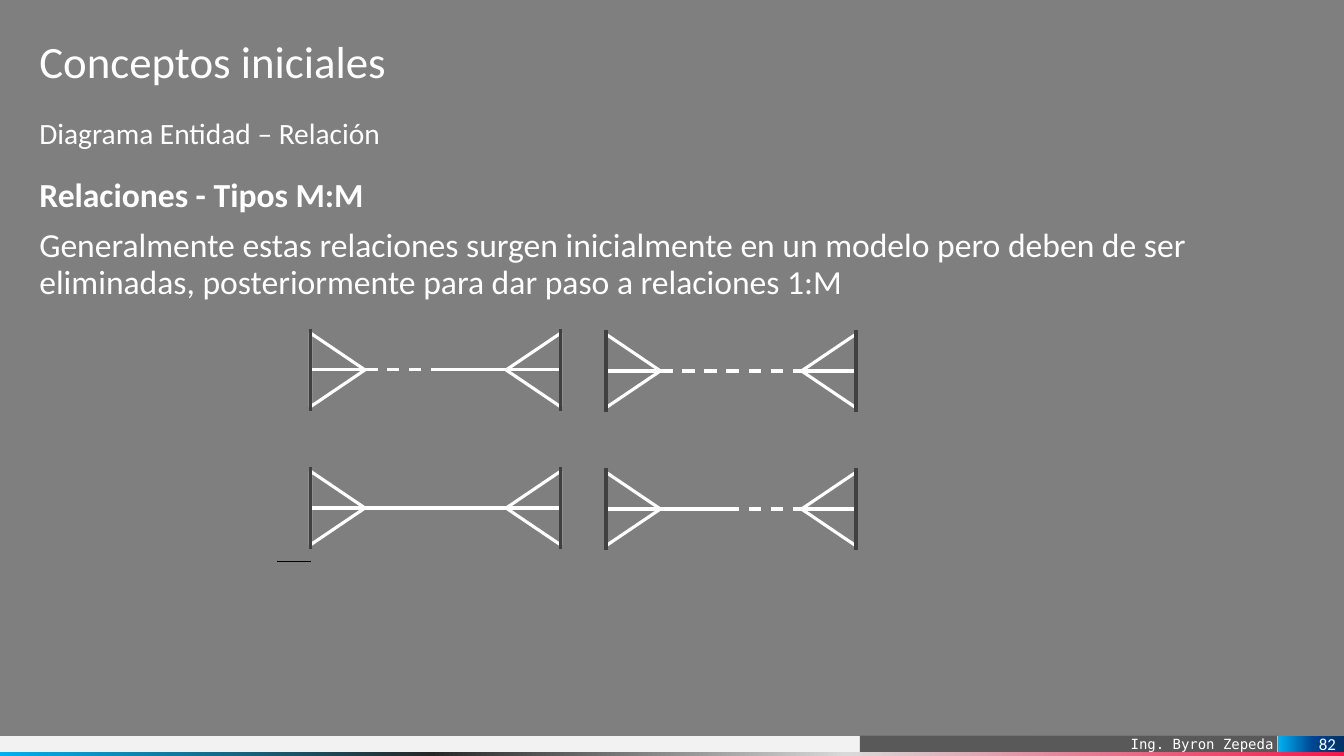
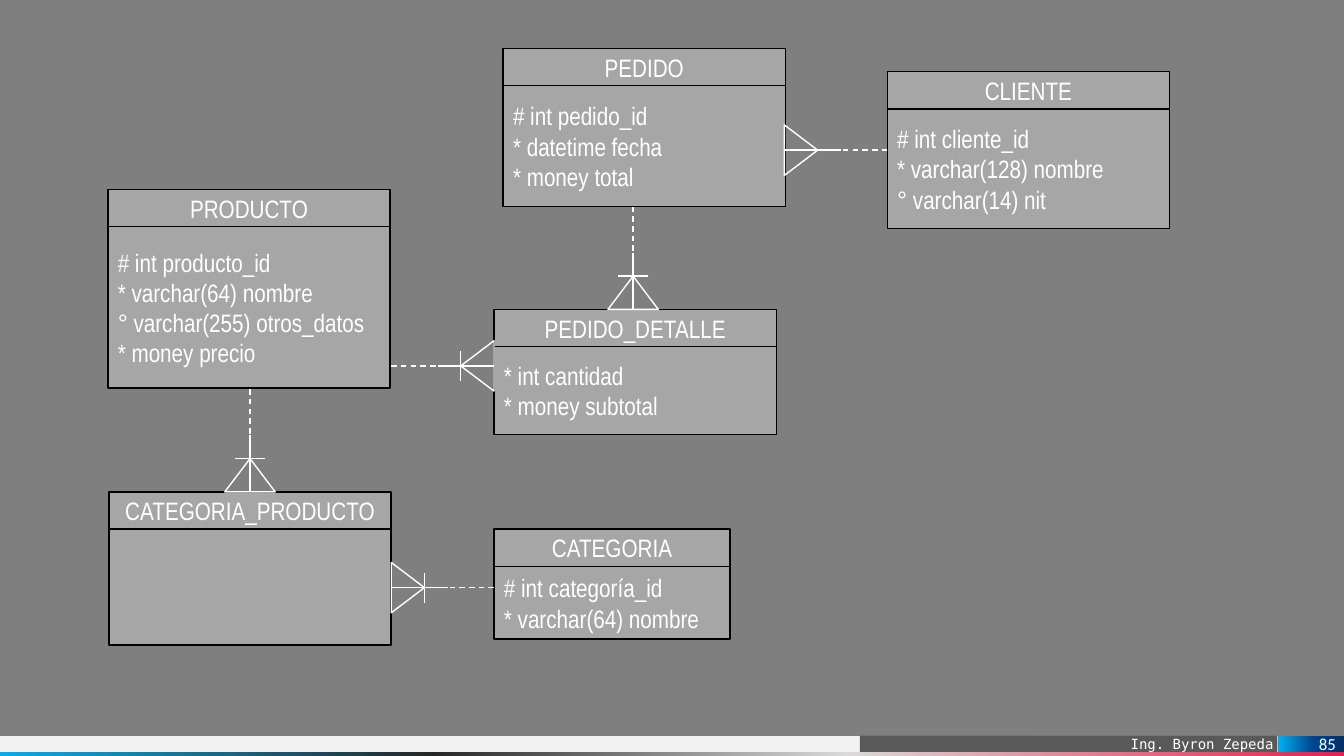
from lxml import etree
from pptx import Presentation
from pptx.dml.color import RGBColor
from pptx.enum.dml import MSO_LINE
from pptx.enum.shapes import MSO_CONNECTOR, MSO_SHAPE
from pptx.enum.text import MSO_ANCHOR, PP_ALIGN
from pptx.oxml.ns import qn
from pptx.util import Inches, Pt

RECT, TRIANGLE = MSO_SHAPE.RECTANGLE, MSO_SHAPE.ISOSCELES_TRIANGLE
STRAIGHT, DASH = MSO_CONNECTOR.STRAIGHT, MSO_LINE.DASH
TOP, MIDDLE, BOTTOM = MSO_ANCHOR.TOP, MSO_ANCHOR.MIDDLE, MSO_ANCHOR.BOTTOM
LEFT, CENTER, RIGHT = PP_ALIGN.LEFT, PP_ALIGN.CENTER, PP_ALIGN.RIGHT

COLORS = {
    "white": "FFFFFF", "black": "000000", "light_band": "F2F2F2",
    "author_band": "595959", "entity": "A6A6A6", "edge": "404040",
}
STRIPE_STOPS = [(0, "F2194A"), (37, "D9D9D9"), (68, "262626"), (100, "00B0F0")]
NUMBER_STOPS = [(0, "003065"), (47, "004490"), (100, "00B0F0")]
BODY_FONT, FOOTER_FONT, ENTITY_FONT = "Calibri", "DejaVu Sans Mono", "Arial Narrow"
SLIDE_W, SLIDE_H, FOOTER_Y, FOOTER_H = 13.33, 7.5, 7.3, 0.16
MARGIN = 0.39
HEADER_H = 0.37

UP, TO_RIGHT, TO_LEFT = (0, -1), (1, 0), (-1, 0)
ROTATION = {UP: 0, TO_RIGHT: 90, TO_LEFT: 270}


def rgb(name):
    return RGBColor.from_string(COLORS[name])


def add_box(slide, box, fill=None, outline=None, width=1, kind=RECT):
    shape = slide.shapes.add_shape(kind, *map(Inches, box))
    shape.shadow.inherit = False
    if fill:
        shape.fill.solid()
        shape.fill.fore_color.rgb = rgb(fill)
    else:
        shape.fill.background()
    if outline:
        shape.line.color.rgb = rgb(outline)
        shape.line.width = Pt(width)
    else:
        shape.line.fill.background()
    return shape


def add_line(slide, start, end, color="white", width=1.0, dashed=False):
    line = slide.shapes.add_connector(STRAIGHT, *map(Inches, (*start, *end)))
    line.line.color.rgb = rgb(color)
    line.line.width = Pt(width)
    if dashed:
        line.line.dash_style = DASH
    etree.SubElement(line._element.spPr, qn("a:effectLst"))


def set_gradient(shape, stops):
    """Fill with (percent, hex) stops that run from right to left."""
    shape.fill.gradient()
    shape.fill.gradient_angle = 180
    stop_list = shape._element.spPr.find(".//" + qn("a:gsLst"))
    for old_stop in list(stop_list):
        stop_list.remove(old_stop)
    for percent, color in stops:
        stop = etree.SubElement(stop_list, qn("a:gs"), pos=str(percent * 1000))
        etree.SubElement(stop, qn("a:srgbClr"), val=color)


def write(shape, lines, font, size, align=LEFT, anchor=TOP,
          insets=(0, 0, 0, 0), spacing=None, before=None, bold_first=False):
    frame = shape.text_frame
    frame.word_wrap = True
    frame.vertical_anchor = anchor
    (frame.margin_left, frame.margin_top,
     frame.margin_right, frame.margin_bottom) = map(Inches, insets)
    for index, line in enumerate(lines):
        paragraph = frame.add_paragraph() if index else frame.paragraphs[0]
        paragraph.text = line
        paragraph.alignment = align
        if spacing:
            paragraph.line_spacing = spacing
        if before:
            paragraph.space_before = Pt(before)
        paragraph.font.name = font
        paragraph.font.size = Pt(size)
        paragraph.font.bold = bold_first and index == 0
        paragraph.font.color.rgb = rgb("white")


def add_base_slide(prs, number):
    """Add a blank slide with the grey veil, the footer and its number."""
    slide = prs.slides.add_slide(prs.slide_layouts[6])
    add_box(slide, (0, FOOTER_Y, 10.28, FOOTER_H), "light_band")
    author = add_box(slide, (8.53, FOOTER_Y, 4.14, FOOTER_H), "author_band")
    write(author, ["Ing. Byron Zepeda"], FOOTER_FONT, 10, RIGHT, BOTTOM,
          (0.1, 0, 0.04, 0))
    stripe = add_box(slide, (0, 7.46, SLIDE_W, 0.04))
    set_gradient(stripe, STRIPE_STOPS)
    veil = add_box(slide, (0, 0, SLIDE_W, FOOTER_Y), "black")
    veil_color = veil._element.spPr.find(".//" + qn("a:srgbClr"))
    etree.SubElement(veil_color, qn("a:alpha"), val="50000")
    page = add_box(slide, (12.68, FOOTER_Y, 0.65, FOOTER_H))
    set_gradient(page, NUMBER_STOPS)
    write(page, [str(number)], BODY_FONT, 12, RIGHT, MIDDLE, (0, 0, 0.08, 0))
    return slide


def add_text(slide, box, lines, size, **style):
    text_box = slide.shapes.add_textbox(*map(Inches, box))
    write(text_box, lines, BODY_FONT, size, spacing=0.9, **style)


def add_crow_foot(slide, anchor, direction, spread, depth, width):
    """Draw a triangle with its base at anchor and its tip along direction."""
    center_x, center_y = (a + d * depth / 2 for a, d in zip(anchor, direction))
    foot = add_box(slide, (center_x - spread / 2, center_y - depth / 2,
                           spread, depth),
                   outline="white", width=width, kind=TRIANGLE)
    foot.rotation = ROTATION[direction]


def add_many_to_many(slide, x, y, left_dashed, right_dashed):
    """Draw an M:M relation from its left end, centred on height y."""
    length, depth, half, reach, width = 2.48, 0.54, 0.74, 0.41, 2.25
    ends = [(x, TO_RIGHT, left_dashed), (x + length, TO_LEFT, right_dashed)]
    for end_x, direction, dashed in ends:
        tip = end_x + direction[0] * depth
        inner = tip + direction[0] * half
        add_line(slide, (min(tip, inner), y), (max(tip, inner), y),
                 width=width, dashed=dashed)
        add_crow_foot(slide, (end_x, y), direction, 0.73, depth, width)
        add_line(slide, (end_x, y), (tip, y), width=width)
        add_line(slide, (end_x, y - reach), (end_x, y + reach), "edge", width)


def add_entity(slide, box, name, fields):
    """Draw a table of the data model: a name above its fields."""
    x, y, width, height = box
    parts = [
        ((x, y, width, HEADER_H), [name], CENTER),
        ((x, y + HEADER_H, width, height - HEADER_H), fields, LEFT),
    ]
    for part_box, lines, align in parts:
        part = add_box(slide, part_box, "entity", "black")
        write(part, lines, ENTITY_FONT, 18, align, MIDDLE,
              (0.1, 0.05, 0.1, 0.05))


def add_one_to_many(slide, anchor, direction, barred):
    """Draw a relation outwards from the "many" end at anchor."""
    depth, solid, full, reach = 0.33, 0.56, 1.02, 0.15

    def along(distance, aside=0):
        return (anchor[0] + direction[0] * distance + direction[1] * aside,
                anchor[1] + direction[1] * distance + direction[0] * aside)

    add_crow_foot(slide, anchor, direction, 0.5, depth, 1)
    add_line(slide, along(solid), anchor)
    add_line(slide, along(full), along(solid), dashed=True)
    if barred:
        add_line(slide, along(depth, -reach), along(depth, reach))


def build_relation_types(prs):
    slide = add_base_slide(prs, 82)
    add_text(slide, (MARGIN, 0.39, 12.55, 0.59), ["Conceptos iniciales"], 32)
    add_text(slide, (MARGIN, 1.18, 12.55, 0.39),
             ["Diagrama Entidad – Relación"], 21, before=10)
    add_text(slide, (MARGIN, 1.77, 12.42, 4.92), [
        "Relaciones - Tipos M:M",
        "Generalmente estas relaciones surgen inicialmente en un modelo pero "
        "deben de ser eliminadas, posteriormente para dar paso a relaciones 1:M",
    ], 24, before=10, bold_first=True)
    add_line(slide, (2.75, 5.57), (3.08, 5.57), "black", 0.75)
    relations = [
        (3.08, 3.67, True, False), (6.01, 3.68, True, True),
        (3.08, 5.04, False, False), (6.01, 5.05, False, True),
    ]
    for relation in relations:
        add_many_to_many(slide, *relation)


def build_order_model(prs):
    slide = add_base_slide(prs, 85)
    entities = [
        ((4.9, 5.25, 2.34, 1.09), "CATEGORIA",
         ["# int categoría_id", "* varchar(64) nombre"]),
        ((1.07, 1.88, 2.8, 1.97), "PRODUCTO",
         ["# int producto_id", "* varchar(64) nombre",
          "° varchar(255) otros_datos", "* money precio"]),
        ((1.08, 4.88, 2.8, 1.52), "CATEGORIA_PRODUCTO", []),
        ((8.8, 0.71, 2.8, 1.56), "CLIENTE",
         ["# int cliente_id", "* varchar(128) nombre", "° varchar(14) nit"]),
        ((4.99, 0.48, 2.8, 1.57), "PEDIDO",
         ["# int pedido_id", "* datetime fecha", "* money total"]),
        ((4.9, 3.07, 2.8, 1.24), "PEDIDO_DETALLE",
         ["* int cantidad", "* money subtotal"]),
    ]
    for entity in entities:
        add_entity(slide, *entity)
    relations = [
        ((2.48, 4.88), UP, True),
        ((3.88, 5.83), TO_RIGHT, True),
        ((7.78, 1.49), TO_RIGHT, False),
        ((4.9, 3.63), TO_LEFT, True),
        ((6.28, 3.07), UP, True),
    ]
    for relation in relations:
        add_one_to_many(slide, *relation)


def main():
    prs = Presentation()
    prs.slide_width, prs.slide_height = Inches(SLIDE_W), Inches(SLIDE_H)
    build_relation_types(prs)
    build_order_model(prs)
    prs.save("out.pptx")


if __name__ == "__main__":
    main()
